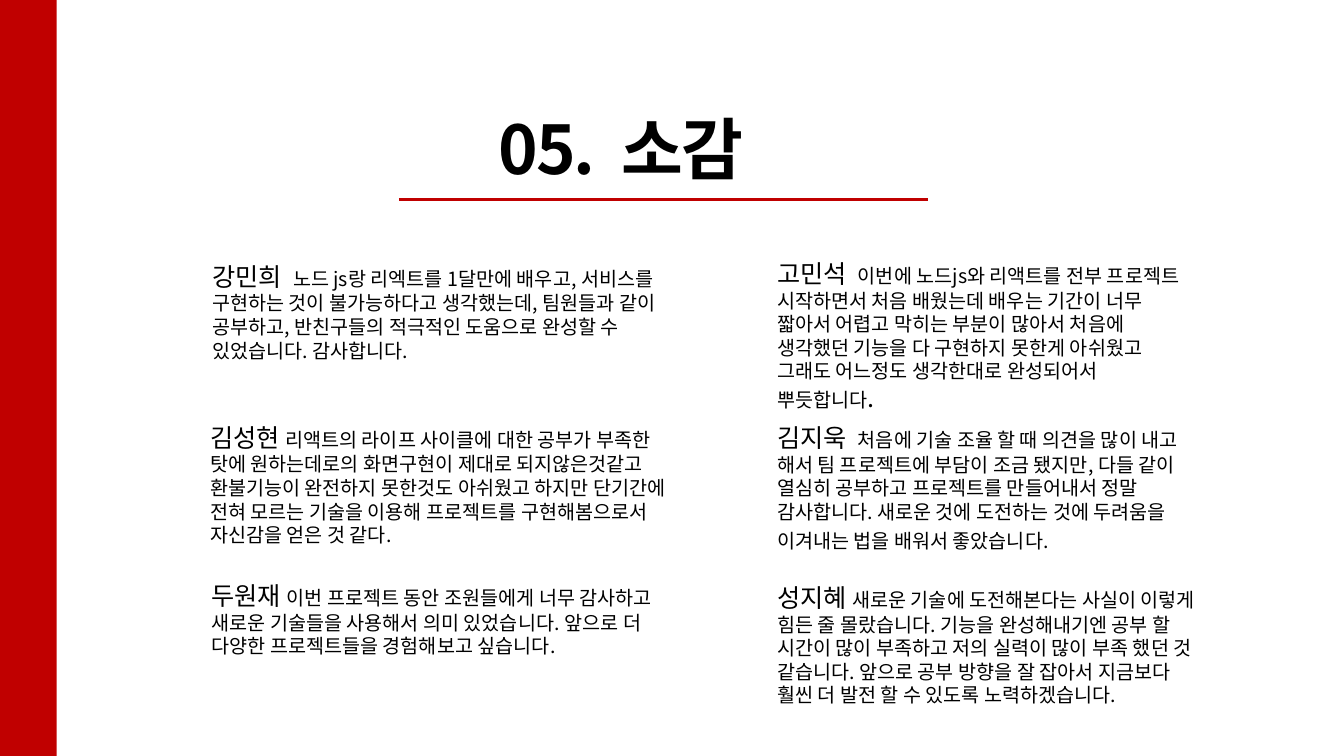
from pptx import Presentation
from pptx.dml.color import RGBColor
from pptx.enum.shapes import MSO_CONNECTOR as Link, MSO_SHAPE as Shape
from pptx.enum.text import MSO_ANCHOR as Anchor, PP_ALIGN as Align
from pptx.oxml.ns import qn
from pptx.util import Pt
from lxml.etree import SubElement as sub

RED = RGBColor(0xC0, 0x00, 0x00)
BLACK = RGBColor(0x00, 0x00, 0x00)
FACE = "Noto Sans CJK KR"


def style(run, size):
    run.font.size = Pt(size)
    run.font.name = FACE
    run.font.color.rgb = BLACK
    sub(run.font._element, qn("a:ea"), typeface=FACE)


deck = Presentation()
deck.slide_width, deck.slide_height = Pt(960), Pt(540)
slide = deck.slides.add_slide(deck.slide_layouts[5])
shapes = slide.shapes

bar = shapes.add_shape(Shape.RECTANGLE, Pt(0), Pt(0), Pt(40.5), Pt(540))
bar.shadow.inherit = False
bar.fill.solid()
bar.fill.fore_color.rgb = RED
bar.line.fill.background()

title = shapes.title
title.left, title.top, title.width, title.height = Pt(349), Pt(72.5), Pt(435), Pt(65.5)
frame = title.text_frame
frame.text = "05.  소감"
frame.vertical_anchor = Anchor.MIDDLE
head = frame.paragraphs[0]
head.alignment = Align.LEFT
style(head.runs[0], 48)
head.runs[0].font.bold = True
head.runs[0].font._element.set("spc", "-150")

rule = shapes.add_connector(Link.STRAIGHT, Pt(285), Pt(142.5), Pt(663), Pt(142.5))
rule.line.color.rgb = RED
rule.line.width = Pt(1.5)
sub(rule._element.spPr, qn("a:effectLst"))

notes = [
    (144.5, 183, 335.5, 80, "강민희  ", "노드 js랑 리엑트를 1달만에 배우고, 서비스를 구현하는 것이 불가능하다고 생각했는데, 팀원들과 같이 공부하고, 반친구들의 적극적인 도움으로 완성할 수 있었습니다. 감사합니다.", ""),
    (548, 181, 303, 101.5, "고민석  ", "이번에 노드js와 리액트를 전부 프로젝트 시작하면서 처음 배웠는데 배우는 기간이 너무 짧아서 어렵고 막히는 부분이 많아서 처음에 생각했던 기능을 다 구현하지 못한게 아쉬웠고 그래도 어느정도 생각한대로 완성되어서 뿌듯합니다", "."),
    (143, 298, 343.5, 97, "김성현 ", "리액트의 라이프 사이클에 대한 공부가 부족한 탓에 원하는데로의 화면구현이 제대로 되지않은것같고 환불기능이 완전하지 못한것도 아쉬웠고 하지만 단기간에 전혀 모르는 기술을 이용해 프로젝트를 구현해봄으로서 자신감을 얻은 것 같다.", ""),
    (548, 298, 310, 101.5, "김지욱  ", "처음에 기술 조율 할 때 의견을 많이 내고 해서 팀 프로젝트에 부담이 조금 됐지만, 다들 같이 열심히 공부하고 프로젝트를 만들어내서 정말 감사합니다. 새로운 것에 도전하는 것에 두려움을 이겨내는 법을 배워서 좋았습니다.", " "),
    (144, 411, 335.5, 63.5, "두원재 ", "이번 프로젝트 동안 조원들에게 너무 감사하고 새로운 기술들을 사용해서 의미 있었습니다. 앞으로 더 다양한 프로젝트들을 경험해보고 싶습니다.", ""),
    (548, 412.5, 320.5, 97, "성지혜 ", "새로운 기술에 도전해본다는 사실이 이렇게 힘든 줄 몰랐습니다. 기능을 완성해내기엔 공부 할 시간이 많이 부족하고 저의 실력이 많이 부족 했던 것 같습니다. 앞으로 공부 방향을 잘 잡아서 지금보다 훨씬 더 발전 할 수 있도록 노력하겠습니다.", ""),
]
for left, top, width, height, name, words, tail in notes:
    box = shapes.add_textbox(Pt(left), Pt(top), Pt(width), Pt(height))
    box.text_frame.word_wrap = True
    para = box.text_frame.paragraphs[0]
    for text, size in ((name, 18), (words, 14), (tail, 18)):
        if text:
            run = para.add_run()
            run.text = text
            style(run, size)

deck.save("out.pptx")
